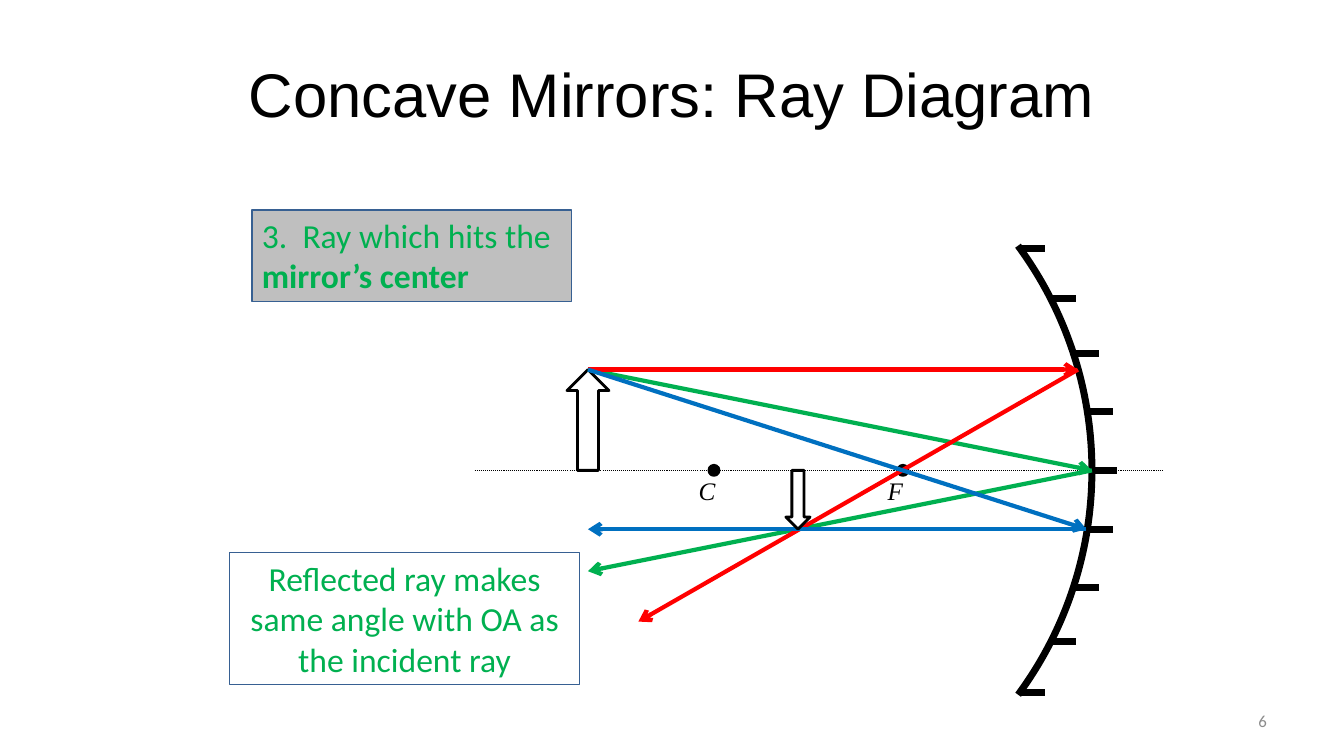
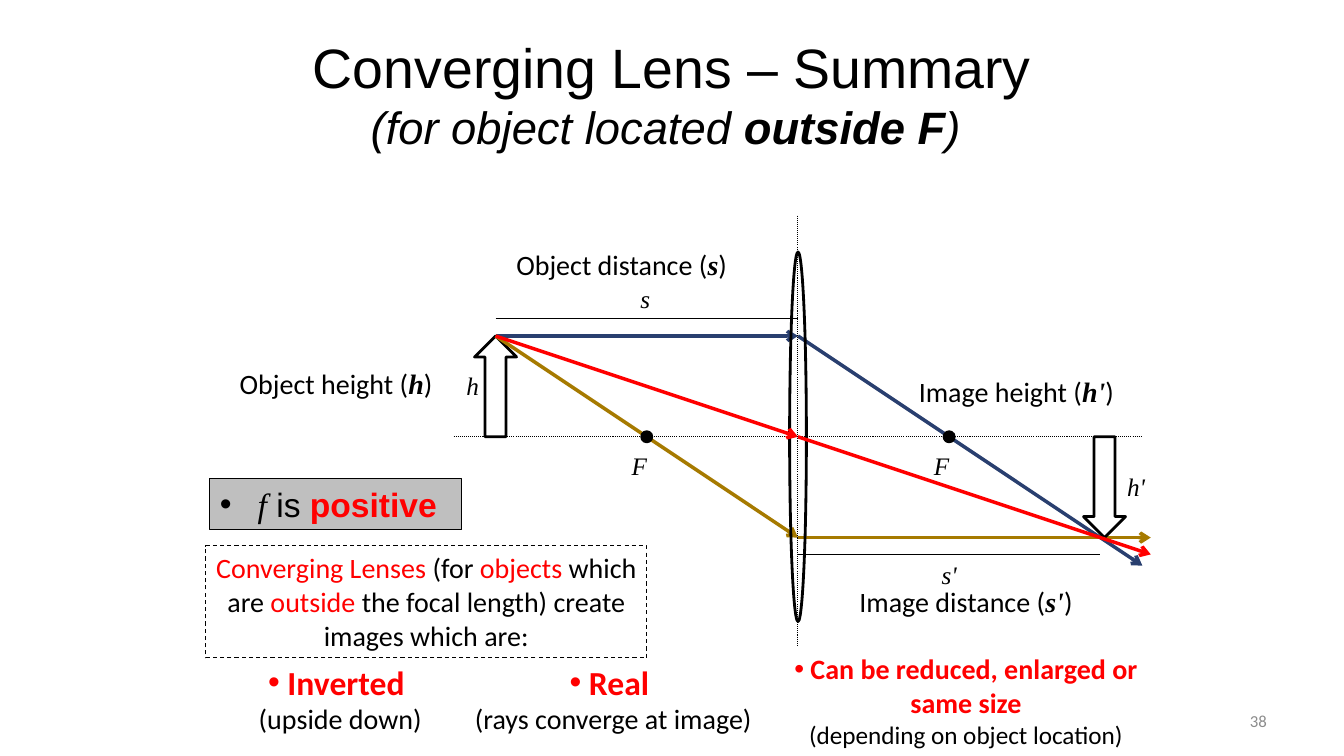
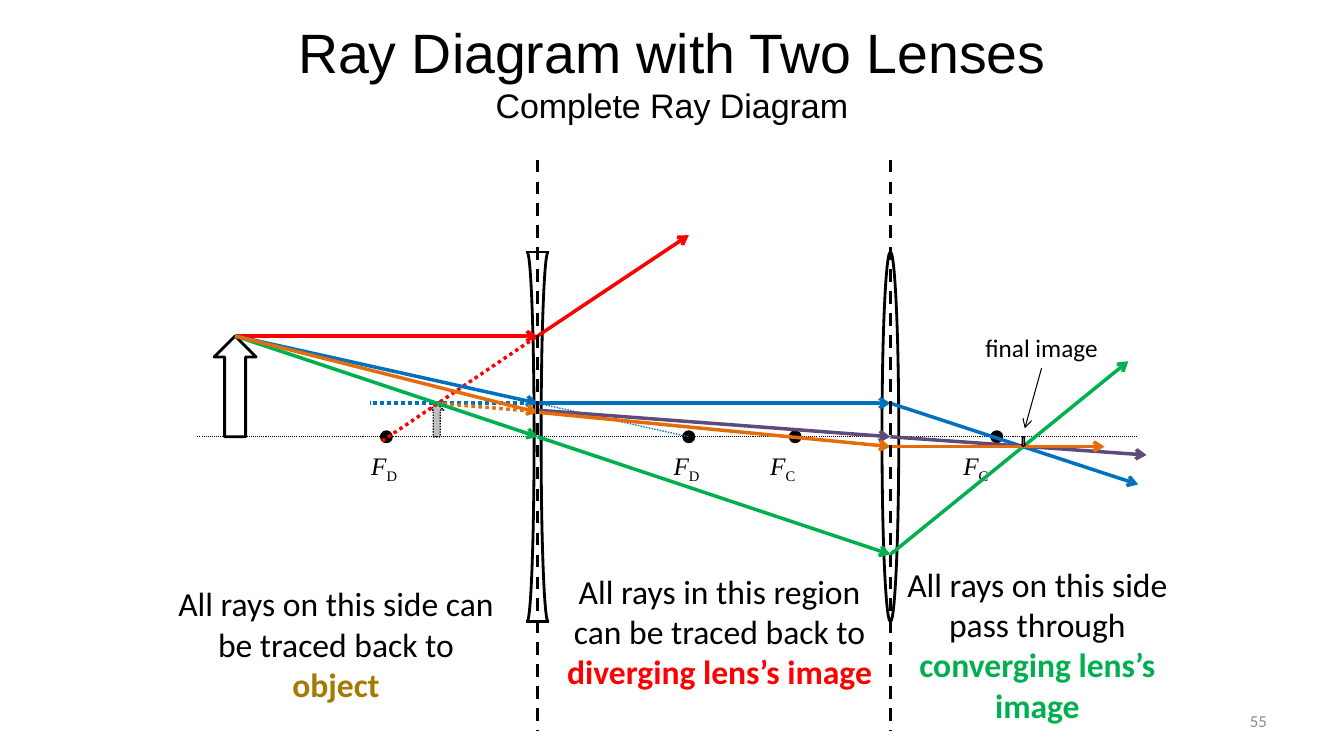
import dataclasses
import itertools
import math

import lxml.etree
import pptx
import pptx.dml.color
import pptx.enum.dml
import pptx.enum.shapes
import pptx.enum.text
import pptx.oxml.ns
import pptx.util

Pt = pptx.util.Pt
SHAPE = pptx.enum.shapes.MSO_SHAPE
DASH = pptx.enum.dml.MSO_LINE
ALIGN = pptx.enum.text.PP_ALIGN
ANCHOR = pptx.enum.text.MSO_ANCHOR


@dataclasses.dataclass(frozen=True)
class Theme:
    black: str = "000000"
    white: str = "FFFFFF"
    red: str = "FF0000"
    green: str = "00B050"
    blue: str = "0070C0"
    navy: str = "293F6F"
    gold: str = "A67A00"
    purple: str = "604A7B"
    orange: str = "E46C0A"
    border: str = "376092"
    panel: str = "BFBFBF"
    image: str = "A6A6A6"
    number: str = "8C8C8C"
    heading: str = "Arial"
    body: str = "Calibri"
    symbol: str = "Times New Roman"
    title: float = 44
    title_two_lines: float = 39.6
    subtitle: float = 32.4
    small_subtitle: float = 24.3
    large: float = 24
    medium: float = 20
    small: float = 18
    footer: float = 12


THEME = Theme()


@dataclasses.dataclass(frozen=True)
class Box:
    left: float
    top: float
    width: float
    height: float

    def inside(self, x, y, width, height):
        return Box(self.left + x, self.top + y, width, height)

    def lengths(self):
        return [Pt(value) for value in (self.left, self.top, self.width, self.height)]


TITLE_BOX = Box(48, 21.6, 864, 90)
NUMBER_BOX = Box(688, 500, 224, 29)


def rgb(color):
    return pptx.dml.color.RGBColor.from_string(color)


def body(text, size=THEME.large, color=THEME.black, **extra):
    return text, dict(name=THEME.body, size=size, color=color, **extra)


def heading(text, size, color=THEME.black, **extra):
    return text, dict(name=THEME.heading, size=size, color=color, **extra)


def symbol(text, size=THEME.small, **extra):
    return text, dict(dict(name=THEME.symbol, size=size, color=THEME.black, italic=True), **extra)


def subscript(text):
    return symbol(text, italic=False, baseline="-25000")


def add_element(parent, tag, **attributes):
    return lxml.etree.SubElement(parent, pptx.oxml.ns.qn(tag), attributes)


def style_line(line, color, weight, dash=None):
    line.color.rgb = rgb(color)
    line.width = Pt(weight)
    if dash is not None:
        line.dash_style = dash


def add_span(para, text, look):
    if text == "\n":
        para.add_line_break()
        return
    span = para.add_run()
    span.text = text
    for name, value in look.items():
        if name == "color":
            span.font.color.rgb = rgb(value)
        elif name == "baseline":
            span.font._element.set(name, value)
        else:
            setattr(span.font, name, Pt(value) if name == "size" else value)


def write(shape, paragraphs, align=ALIGN.LEFT, anchor=ANCHOR.TOP, bullet=False, hang=0, tab=0):
    frame = shape.text_frame
    frame.word_wrap = True
    frame.vertical_anchor = anchor
    for index, spans in enumerate(paragraphs):
        para = frame.add_paragraph() if index else frame.paragraphs[0]
        para.alignment = align
        settings = para._element.get_or_add_pPr()
        if bullet and index == 0:
            settings.set("marL", str(Pt(hang)))
            settings.set("indent", str(-Pt(hang)))
            add_element(settings, "a:buFont", typeface=THEME.heading)
            add_element(settings, "a:buChar", char="•")
        if tab:
            stops = add_element(settings, "a:tabLst")
            add_element(stops, "a:tab", pos=str(Pt(tab)), algn="l")
        for text, look in spans:
            add_span(para, text, look)


def add_text(page, box, paragraphs, **layout):
    write(page.shapes.add_textbox(*box.lengths()), paragraphs, **layout)


def draw_shape(page, kind, box, fill=None, line=THEME.black, weight=2, dash=None):
    shape = page.shapes.add_shape(kind, *box.lengths())
    shape.shadow.inherit = False
    if fill:
        shape.fill.solid()
        shape.fill.fore_color.rgb = rgb(fill)
    else:
        shape.fill.background()
    if line:
        style_line(shape.line, line, weight, dash)
    else:
        shape.line.fill.background()
    return shape


def draw_arc(page, box, start, end, weight):
    arc = draw_shape(page, SHAPE.ARC, box, weight=weight)
    for index, degrees in enumerate((start, end)):
        arc.adjustments[index] = degrees * 0.6


def draw_line(page, box, start, end, color=THEME.black, weight=0.75, dash=None, arrow=False):
    points = [Pt(value) for x, y in (start, end) for value in (box.left + x, box.top + y)]
    line = page.shapes.add_connector(pptx.enum.shapes.MSO_CONNECTOR.STRAIGHT, *points)
    style_line(line.line, color, weight, dash)
    if arrow:
        add_element(line.line._get_or_add_ln(), "a:tailEnd", type="arrow")
    add_element(line._element.spPr, "a:effectLst")


def draw_ray(page, box, color, stops, weight=2.5):
    for start, end in itertools.pairwise(stops):
        draw_line(page, box, start, end, color, weight, arrow=True)


def draw_block_arrow(page, box, x, axis, tip, width=30, **look):
    kind = SHAPE.UP_ARROW if tip < axis else SHAPE.DOWN_ARROW
    area = box.inside(x - width / 2, min(tip, axis), width, abs(axis - tip))
    draw_shape(page, kind, area, **look)


def mark_point(page, box, x, axis, spans, shift=18, drop=6, width=18):
    draw_shape(page, SHAPE.OVAL, box.inside(x - 3.6, axis - 3.6, 7.2, 7.2), fill=THEME.black)
    add_text(page, box.inside(x - shift, axis + drop, width, 29), [spans])


def draw_converging_lens(page, box, x, axis):
    draw_shape(page, SHAPE.OVAL, box.inside(x - 6, axis - 132, 12, 264))


def draw_diverging_lens(page, box, x, axis):
    for offset, start, end in ((-12.5, 270, 90), (2.5, 90, 270)):
        draw_arc(page, box.inside(x + offset, axis - 132, 10, 264), start, end, 2)
    for y in (axis - 132, axis + 132):
        draw_line(page, box, (x - 8, y), (x + 8, y), weight=2)


def start_page(deck, number, title, title_box=TITLE_BOX):
    page = deck.slides.add_slide(deck.slide_layouts[6])
    add_text(page, title_box, [title], align=ALIGN.CENTER, anchor=ANCHOR.MIDDLE)
    add_text(page, NUMBER_BOX, [[body(str(number), THEME.footer, THEME.number)]],
             align=ALIGN.RIGHT, anchor=ANCHOR.MIDDLE)
    return page


def draw_mirror(page, box, vertex, axis, radius):
    center = vertex - radius
    for degrees in range(-36, 37, 9):
        angle = math.radians(degrees)
        x = round(center + radius * math.cos(angle), 2)
        y = round(axis + radius * math.sin(angle), 2)
        draw_line(page, box, (x, y), (x + 18, y), weight=5)
    area = box.inside(center - radius, axis - radius, 2 * radius, 2 * radius)
    draw_arc(page, area, 323.55, 36.42, 5)


def mirror_diagram(page, box):
    axis, vertex, radius = box.height / 2, 441, 270
    tip, image = (81, 90), (231, 204)
    draw_line(page, box, (0, axis), (box.width, axis), dash=DASH.ROUND_DOT)
    draw_mirror(page, box, vertex, axis, radius)
    for letter, distance in (("C", radius), ("F", radius / 2)):
        mark_point(page, box, vertex - distance, axis, [symbol(letter)], drop=0)
    draw_block_arrow(page, box, tip[0], axis, tip[1])
    rays = (
        (THEME.green, [tip, (vertex, axis), (81, 234)]),
        (THEME.red, [tip, (431, 90), (117, 270)]),
        (THEME.blue, [tip, (437, 204), (81, 204)]),
    )
    for color, stops in rays:
        draw_ray(page, box, color, stops, weight=3)
    draw_block_arrow(page, box, image[0], axis, image[1], width=17.3)


def mirror_notes(page, box):
    rule = draw_shape(page, SHAPE.RECTANGLE, box.inside(16, 0, 228, 65.5),
                      fill=THEME.panel, line=THEME.border, weight=0.75)
    write(rule, [[body("3.\tRay which hits the ", color=THEME.green),
                  body("mirror’s center", color=THEME.green, bold=True)]], tab=29)
    result = draw_shape(page, SHAPE.RECTANGLE, box.inside(0, 245, 250, 94),
                        line=THEME.border, weight=0.75)
    write(result, [[body("Reflected ray makes same angle with OA as the incident ray",
                         color=THEME.green)]], align=ALIGN.CENTER)


def mirror_slide(deck):
    page = start_page(deck, 6, [heading("Concave Mirrors: Ray Diagram", THEME.title)])
    mirror_notes(page, Box(164, 150, 250, 339))
    mirror_diagram(page, Box(339, 174, 492, 324))


def lens_diagram(page, box):
    axis, lens = 158, 246
    tip, image = (30, 86), (465, 230)
    draw_block_arrow(page, box, tip[0], axis, tip[1])
    draw_ray(page, box, THEME.navy, [tip, (lens, tip[1]), (492, 250)])
    draw_ray(page, box, THEME.gold, [tip, (lens, image[1]), (498, image[1])])
    for focus in (lens - 108, lens + 108):
        mark_point(page, box, focus, axis, [symbol("F")])
    draw_line(page, box, (0, axis), (box.width, axis), dash=DASH.ROUND_DOT)
    draw_converging_lens(page, box, lens, axis)
    draw_block_arrow(page, box, image[0], axis, image[1])
    draw_ray(page, box, THEME.red, [tip, (lens, axis), (498, 242)])
    draw_line(page, box, (lens, 0), (lens, box.height), dash=DASH.ROUND_DOT)
    draw_line(page, box, (tip[0], 73.5), (lens, 73.5))
    draw_line(page, box, (lens, 242), (462, 242))


def lens_measures(page, box):
    measures = (
        ("Object height", "h", (-198, 104), (2, 107), ALIGN.LEFT),
        ("Image height", "h'", (288, 110), (474, 179), ALIGN.LEFT),
        ("Image distance", "s'", (252, 260), (339, 242), ALIGN.CENTER),
        ("Object distance", "s", (6, 19), (122, 45), ALIGN.CENTER),
    )
    for name, letter, name_at, letter_at, align in measures:
        add_text(page, box.inside(*letter_at, 30, 29), [[symbol(letter)]], align=align)
        spans = [body(name + " (", THEME.medium),
                 symbol(letter, THEME.medium, bold=True), body(")", THEME.medium)]
        add_text(page, box.inside(*name_at, 228, 32), [spans], align=ALIGN.CENTER)


def lens_summary(page, box):
    focal = draw_shape(page, SHAPE.RECTANGLE, box.inside(24, 0, 180, 36.5),
                       fill=THEME.panel, weight=0.75)
    write(focal, [[symbol("f", THEME.large), heading(" is ", THEME.large),
                   heading("positive", THEME.large, THEME.red, bold=True)]],
          bullet=True, hang=27)
    lead = draw_shape(page, SHAPE.RECTANGLE, box.inside(21, 48, 315, 80),
                      weight=0.75, dash=DASH.DASH)
    pieces = (("Converging Lenses ", THEME.red), ("(for ", THEME.black),
              ("objects", THEME.red), (" which are ", THEME.black),
              ("outside", THEME.red),
              (" the focal length) create images which are:", THEME.black))
    write(lead, [[body(text, THEME.medium, color) for text, color in pieces]],
          align=ALIGN.CENTER)
    traits = (
        (" Inverted ", "(upside down)", (0, 127, 234, 60), THEME.large, THEME.medium, None),
        (" Real ", "(rays converge at image)", (198, 127, 228, 60),
         THEME.large, THEME.medium, None),
        (" Can be reduced, enlarged or same size", "(depending on object location)",
         (432, 120, 264, 78), THEME.medium, THEME.small, THEME.white),
    )
    for trait, remark, place, size, remark_size, fill in traits:
        shape = draw_shape(page, SHAPE.RECTANGLE, box.inside(*place), fill=fill, line=None)
        write(shape, [[body(trait, size, THEME.red, bold=True)],
                      [body(remark, remark_size)]], align=ALIGN.CENTER, bullet=True)


def lens_slide(deck):
    page = start_page(deck, 38, [
        heading("Converging Lens – Summary", THEME.title_two_lines),
        ("\n", {}),
        heading("(for object located ", THEME.subtitle, italic=True),
        heading("outside F", THEME.subtitle, italic=True, bold=True),
        heading(") ", THEME.subtitle, italic=True),
    ])
    diagram = Box(324, 154, 492, 317)
    lens_diagram(page, diagram)
    lens_measures(page, diagram)
    lens_summary(page, Box(126, 342, 696, 198))


def two_lens_diagram(page, box):
    axis, diverging, converging = 198, 243, 495
    tip = (27, 126)
    draw_block_arrow(page, box, 171, axis, 174, width=10, fill=THEME.panel,
                     weight=1, dash=DASH.ROUND_DOT)
    draw_block_arrow(page, box, tip[0], axis, tip[1])
    draw_line(page, box, (0, axis), (box.width, axis), dash=DASH.ROUND_DOT)
    for focus, letter, shift in ((135, "D", 18), (351, "D", 18),
                                 (427, "C", 25), (571, "C", 31)):
        mark_point(page, box, focus, axis, [symbol("F"), subscript(letter)], shift, width=40)
    draw_diverging_lens(page, box, diverging, axis)
    draw_converging_lens(page, box, converging, axis)
    traces = (
        (THEME.red, (132, 201), (diverging, 126), 2.5),
        (THEME.blue, (diverging, 174), (351, axis), 1),
        (THEME.blue, (diverging, 174), (123, 174), 2.5),
        (THEME.orange, (diverging, 180), (171, 174), 2.5),
    )
    for color, start, end, weight in traces:
        draw_line(page, box, start, end, color, weight, DASH.ROUND_DOT)
    rays = (
        (THEME.red, [tip, (diverging, 126), (351, 54)]),
        (THEME.blue, [tip, (diverging, 174), (converging, 174), (672, 232)]),
        (THEME.purple, [(diverging, 179), (converging, axis), (678, 211)]),
        (THEME.green, [tip, (diverging, axis), (converging, 282), (665, 144)]),
        (THEME.orange, [tip, (diverging, 180.5), (converging, 205), (648, 205)]),
    )
    for color, stops in rays:
        draw_ray(page, box, color, stops)
    draw_block_arrow(page, box, 590, axis, axis + 7, width=3, fill=THEME.image, weight=1)
    for x in (diverging, converging):
        draw_line(page, box, (x, 0), (x, box.height), weight=2.25, dash=DASH.DASH)
    add_text(page, box.inside(549, 120, 108, 29), [[body("final image", THEME.small)]],
             align=ALIGN.CENTER)
    draw_line(page, box, (603, 149), (591, 192), arrow=True)


def two_lens_captions(page, box):
    captions = (
        ("All rays on this side can be traced back to ", "object", THEME.gold, (0, 14, 240, 94)),
        ("All rays in this region can be traced back to ", "diverging lens’s image",
         THEME.red, (274, 5, 240, 94)),
        ("All rays on this side pass through ", "converging lens’s image",
         THEME.green, (516, 0, 210, 124)),
    )
    for text, target, color, place in captions:
        add_text(page, box.inside(*place),
                 [[body(text), body(target, color=color, bold=True)]], align=ALIGN.CENTER)


def two_lens_slide(deck):
    page = start_page(deck, 55, [
        heading("Ray Diagram with Two Lenses", THEME.title_two_lines),
        ("\n", {}),
        heading("Complete Ray Diagram", THEME.small_subtitle),
    ], Box(156, 6, 648, 90))
    two_lens_diagram(page, Box(141, 114, 672, 408))
    two_lens_captions(page, Box(120, 399, 726, 124))


def main():
    deck = pptx.Presentation()
    deck.slide_width, deck.slide_height = Pt(960), Pt(540)
    for build in (mirror_slide, lens_slide, two_lens_slide):
        build(deck)
    deck.save("out.pptx")


if __name__ == "__main__":
    main()
